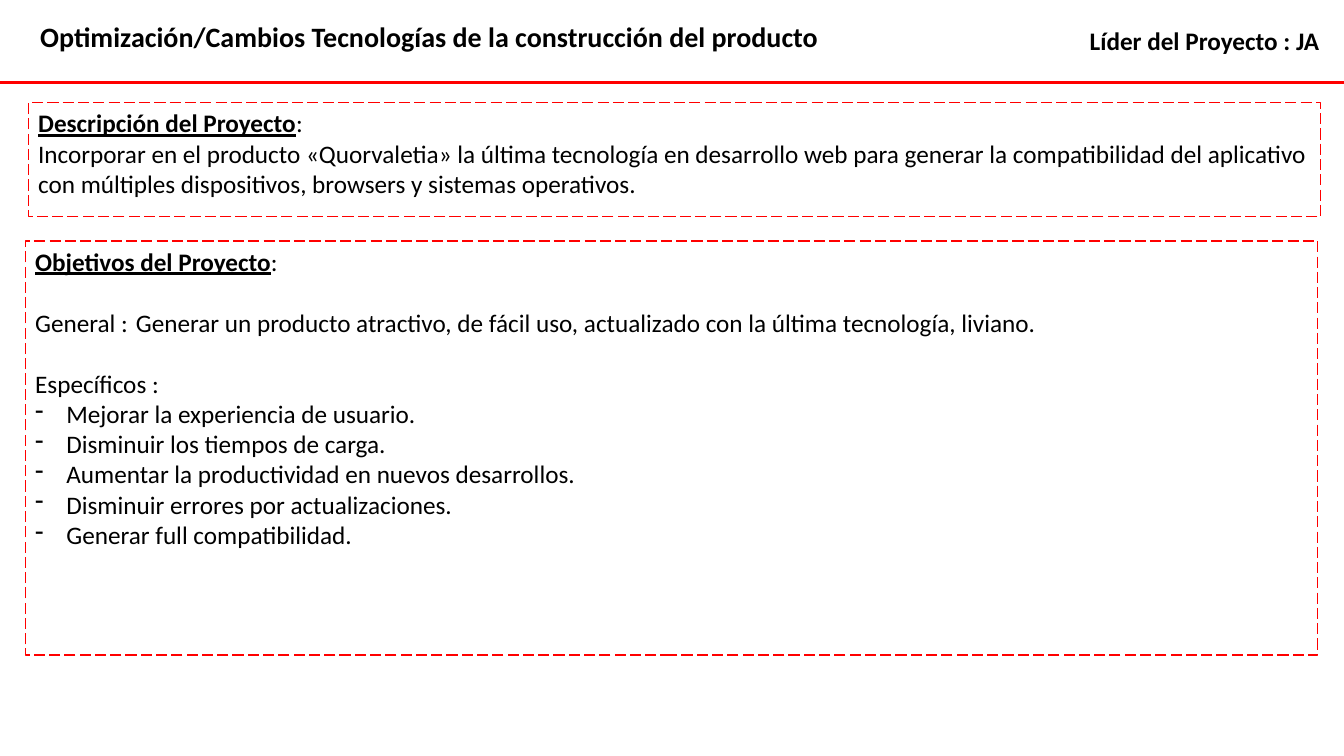
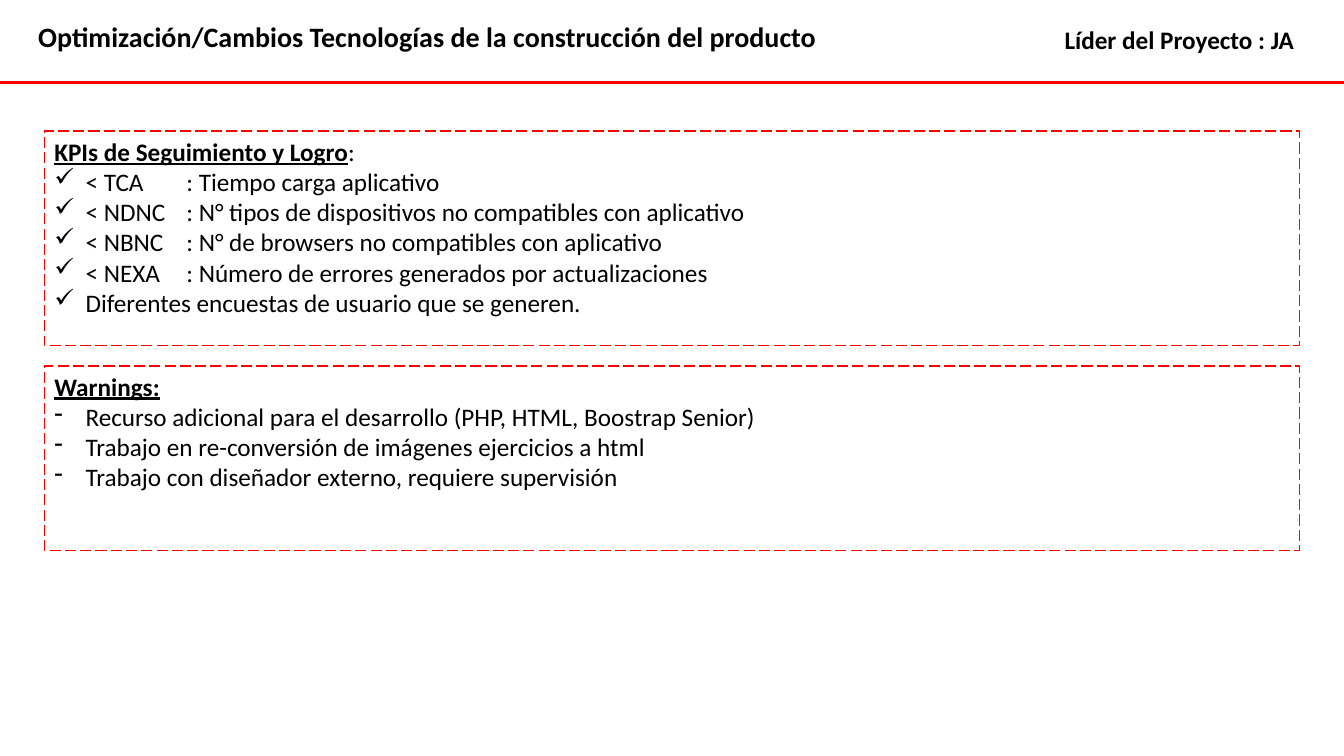
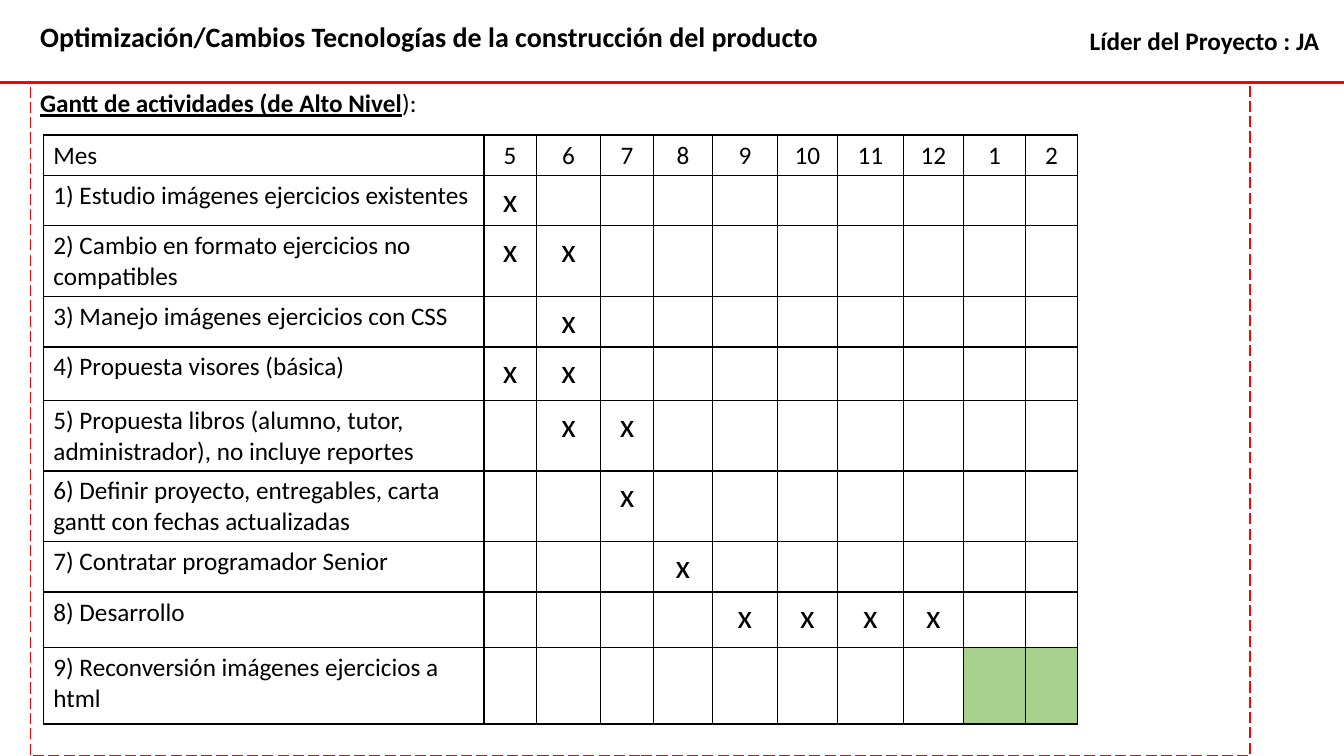
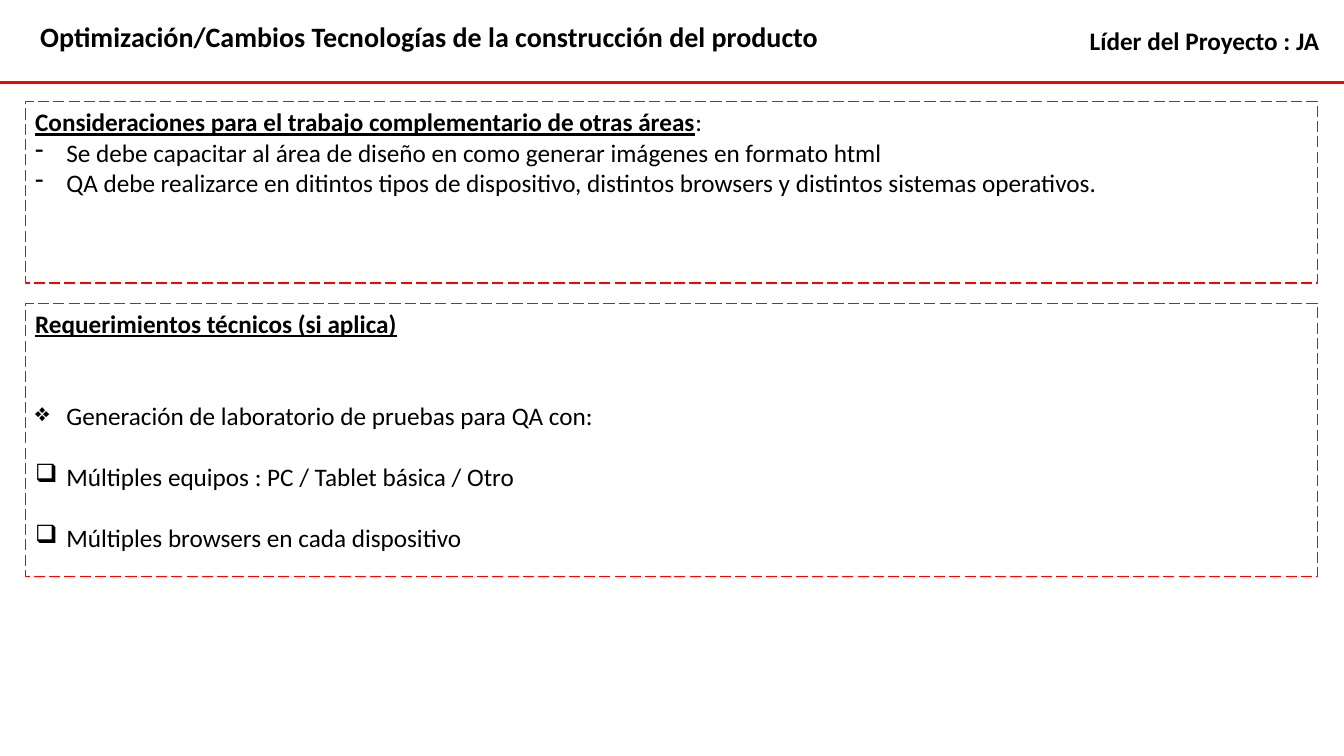
from pptx import Presentation
from pptx import util as u
from pptx.dml.color import RGBColor
from pptx.enum import dml, shapes, text
from pptx.oxml import ns
from lxml import etree

COLORS = {"red": "FF0000", "black": "000000", "white": "FFFFFF", "green": "A9D18E"}
FONT = "Calibri"
TITLE = "Optimización/Cambios Tecnologías de la construcción del producto"
LEADER = "Líder del Proyecto : JA"
SLIDE_WIDTH, SLIDE_HEIGHT = 13.33, 7.5
RULE_TOP = 0.82
HANGING = 0.31
BLANK_LINE = 22  # points, the height of one line of body text

# Schedule: months, then activity, first and last marked month, row height
MONTHS = [5, 6, 7, 8, 9, 10, 11, 12, 1, 2]
COLUMN_WIDTHS = [4.37, 0.52, 0.64, 0.52, 0.59, 0.64, 0.6, 0.65, 0.6, 0.61, 0.52]
HEADER_HEIGHT = 0.38
ACTIVITIES = [
    ("1) Estudio imágenes ejercicios existentes", 5, 5, 0.4),
    ("2) Cambio en formato ejercicios no compatibles", 5, 6, 0.4),
    ("3) Manejo imágenes ejercicios con CSS", 6, 6, 0.4),
    ("4) Propuesta visores (básica)", 5, 6, 0.53),
    ("5) Propuesta libros (alumno, tutor, administrador), no incluye reportes", 6, 7, 0.48),
    ("6) Definir proyecto, entregables, carta gantt con fechas actualizadas", 7, 7, 0.69),
    ("7) Contratar programador Senior", 8, 8, 0.47),
    ("8) Desarrollo", 9, 12, 0.55),
    ("9) Reconversión imágenes ejercicios a html", 1, 2, 0.76),
]
SHADED_MONTHS = (1, 2)


def rgb(name):
    return RGBColor.from_string(COLORS[name])


def place(at):
    return [u.Inches(length) for length in at]


def add_child(parent, tag, **attributes):
    child = etree.SubElement(parent, ns.qn(tag))
    for name, value in attributes.items():
        child.set(name, str(value))
    return child


# Text
def add_span(para, words, size=18, bold=False, underline=False):
    span = para.add_run()
    span.text = words
    span.font.name = FONT
    span.font.size = u.Pt(size)
    span.font.bold = bold
    span.font.underline = underline
    span.font.color.rgb = rgb("black")


def write(para, words, bullet=None, before=0, tab=None, align=text.PP_ALIGN.LEFT, **style):
    para.alignment = align
    para.space_before = u.Pt(before)
    properties = para._p.get_or_add_pPr()
    if bullet:
        properties.set("marL", str(u.Inches(HANGING)))
        properties.set("indent", str(-u.Inches(HANGING)))
        add_child(properties, "a:buChar", char=bullet)
    if tab:
        stops = add_child(properties, "a:tabLst")
        add_child(stops, "a:tab", pos=u.Inches(tab), algn="l")
    add_span(para, words, **style)


def bullets(mark, *lines, **style):
    return [(line, dict(bullet=mark, **style)) for line in lines]


# Elements shared by the slides
def add_label(page, at, words, size):
    box = page.shapes.add_textbox(*place(at))
    box.text_frame.word_wrap = False
    write(box.text_frame.paragraphs[0], words, size=size, bold=True)


def add_page(deck, title_at=(0.3, 0.14), leader_at=(10.71, 0.2)):
    page = deck.slides.add_slide(deck.slide_layouts[6])
    rule = page.shapes.add_connector(
        shapes.MSO_CONNECTOR.STRAIGHT, *place((0, RULE_TOP, SLIDE_WIDTH, RULE_TOP)))
    rule.line.color.rgb = rgb("red")
    rule.line.width = u.Pt(2.25)
    add_child(rule._element.spPr, "a:effectLst")
    add_label(page, (*title_at, 7.98, 0.44), TITLE, 20)
    add_label(page, (*leader_at, 2.5, 0.4), LEADER, 18)
    return page


def add_panel(page, at, heading, ending="", lines=()):
    panel = page.shapes.add_shape(shapes.MSO_SHAPE.RECTANGLE, *place(at))
    panel.shadow.inherit = False
    panel.fill.background()
    panel.line.color.rgb = rgb("red")
    panel.line.width = u.Pt(1)
    panel.line.dash_style = dml.MSO_LINE.LONG_DASH
    frame = panel.text_frame
    frame.word_wrap = True
    frame.vertical_anchor = text.MSO_ANCHOR.TOP
    write(frame.paragraphs[0], heading, bold=True, underline=True)
    if ending:
        add_span(frame.paragraphs[0], ending)
    for words, style in lines:
        write(frame.add_paragraph(), words, **style)


# Schedule table
def format_cell(cell, fill="white"):
    properties = cell._tc.get_or_add_tcPr()
    for side in ("a:lnL", "a:lnR", "a:lnT", "a:lnB"):
        border = add_child(properties, side, w=u.Pt(1))
        add_child(add_child(border, "a:solidFill"), "a:srgbClr", val=COLORS["black"])
    cell.fill.solid()
    cell.fill.fore_color.rgb = rgb(fill)


def add_schedule(page, left, top):
    heights = [HEADER_HEIGHT] + [activity[-1] for activity in ACTIVITIES]
    at = (left, top, sum(COLUMN_WIDTHS), sum(heights))
    table = page.shapes.add_table(len(heights), len(COLUMN_WIDTHS), *place(at)).table
    table.first_row = table.horz_banding = False
    for column, width in zip(table.columns, COLUMN_WIDTHS):
        column.width = u.Inches(width)
    for row, height in zip(table.rows, heights):
        row.height = u.Inches(height)

    def fill_cell(row, column, words, **style):
        write(table.cell(row, column).text_frame.paragraphs[0], words, **style)

    centre = text.PP_ALIGN.CENTER
    fill_cell(0, 0, "Mes")
    format_cell(table.cell(0, 0))
    for column, month in enumerate(MONTHS, 1):
        fill_cell(0, column, str(month), align=centre)
        format_cell(table.cell(0, column))
    for row, (activity, first, last, _) in enumerate(ACTIVITIES, 1):
        fill_cell(row, 0, activity)
        format_cell(table.cell(row, 0))
        active = MONTHS[MONTHS.index(first):MONTHS.index(last) + 1]
        for column, month in enumerate(MONTHS, 1):
            shaded = month in active and month in SHADED_MONTHS
            format_cell(table.cell(row, column), "green" if shaded else "white")
            if month in active and not shaded:
                fill_cell(row, column, "x", size=24, align=centre)


# Slides
def build_goals(deck):
    page = add_page(deck)
    add_panel(page, (0.28, 1.02, 12.82, 1.13), "Descripción del Proyecto", ":", [
        ("Incorporar en el producto «Quorvaletia» la última tecnología en desarrollo web "
         "para generar la compatibilidad del aplicativo con múltiples dispositivos, "
         "browsers y sistemas operativos.", {}),
    ])
    add_panel(page, (0.25, 2.39, 12.82, 4.11), "Objetivos del Proyecto", ":", [
        ("General :\tGenerar un producto atractivo, de fácil uso, actualizado con la "
         "última tecnología, liviano.", dict(before=BLANK_LINE, tab=1)),
        ("Específicos :", dict(before=BLANK_LINE)),
        *bullets("-",
                 "Mejorar la experiencia de usuario.",
                 "Disminuir los tiempos de carga.",
                 "Aumentar la productividad en nuevos desarrollos.",
                 "Disminuir errores por actualizaciones.",
                 "Generar full compatibilidad."),
    ])


def build_tracking(deck):
    page = add_page(deck, title_at=(0.28, 0.14), leader_at=(10.46, 0.19))
    add_panel(page, (0.44, 1.3, 12.45, 2.13), "KPIs de Seguimiento y Logro", ":", bullets(
        "✓",
        "< TCA\t: Tiempo carga aplicativo",
        "< NDNC\t: N° tipos de dispositivos no compatibles con aplicativo",
        "< NBNC\t: N° de browsers no compatibles con aplicativo",
        "< NEXA\t: Número de errores generados por actualizaciones",
        "Diferentes encuestas de usuario que se generen.",
        tab=1.31))
    add_panel(page, (0.44, 3.63, 12.45, 1.83), "Warnings:", lines=bullets(
        "-",
        "Recurso adicional para el desarrollo (PHP, HTML, Boostrap Senior)",
        "Trabajo en re-conversión de imágenes ejercicios a html",
        "Trabajo con diseñador externo, requiere supervisión"))


def build_schedule(deck):
    page = add_page(deck)
    add_panel(page, (0.3, RULE_TOP, 12.1, SLIDE_HEIGHT - RULE_TOP),
              "Gantt de actividades (de Alto Nivel", "):")
    add_schedule(page, 0.43, 1.34)


def build_requirements(deck):
    page = add_page(deck)
    add_panel(page, (0.25, 1.01, 12.82, 1.8),
              "Consideraciones para el trabajo complementario de otras áreas", ":", bullets(
                  "-",
                  "Se debe capacitar al área de diseño en como generar imágenes en formato html",
                  "QA debe realizarce en ditintos tipos de dispositivo, distintos browsers "
                  "y distintos sistemas operativos."))
    add_panel(page, (0.25, 3.01, 12.82, 2.71), "Requerimientos técnicos (si aplica)", lines=[
        *bullets("❖", "Generación de laboratorio de pruebas para QA con:",
                 before=2 * BLANK_LINE),
        *bullets("❑",
                 "Múltiples equipos : PC / Tablet básica / Otro",
                 "Múltiples browsers en cada dispositivo",
                 before=BLANK_LINE),
    ])


def main():
    deck = Presentation()
    deck.slide_width, deck.slide_height = place((SLIDE_WIDTH, SLIDE_HEIGHT))
    build_goals(deck)
    build_tracking(deck)
    build_schedule(deck)
    build_requirements(deck)
    deck.save("out.pptx")


if __name__ == "__main__":
    main()
